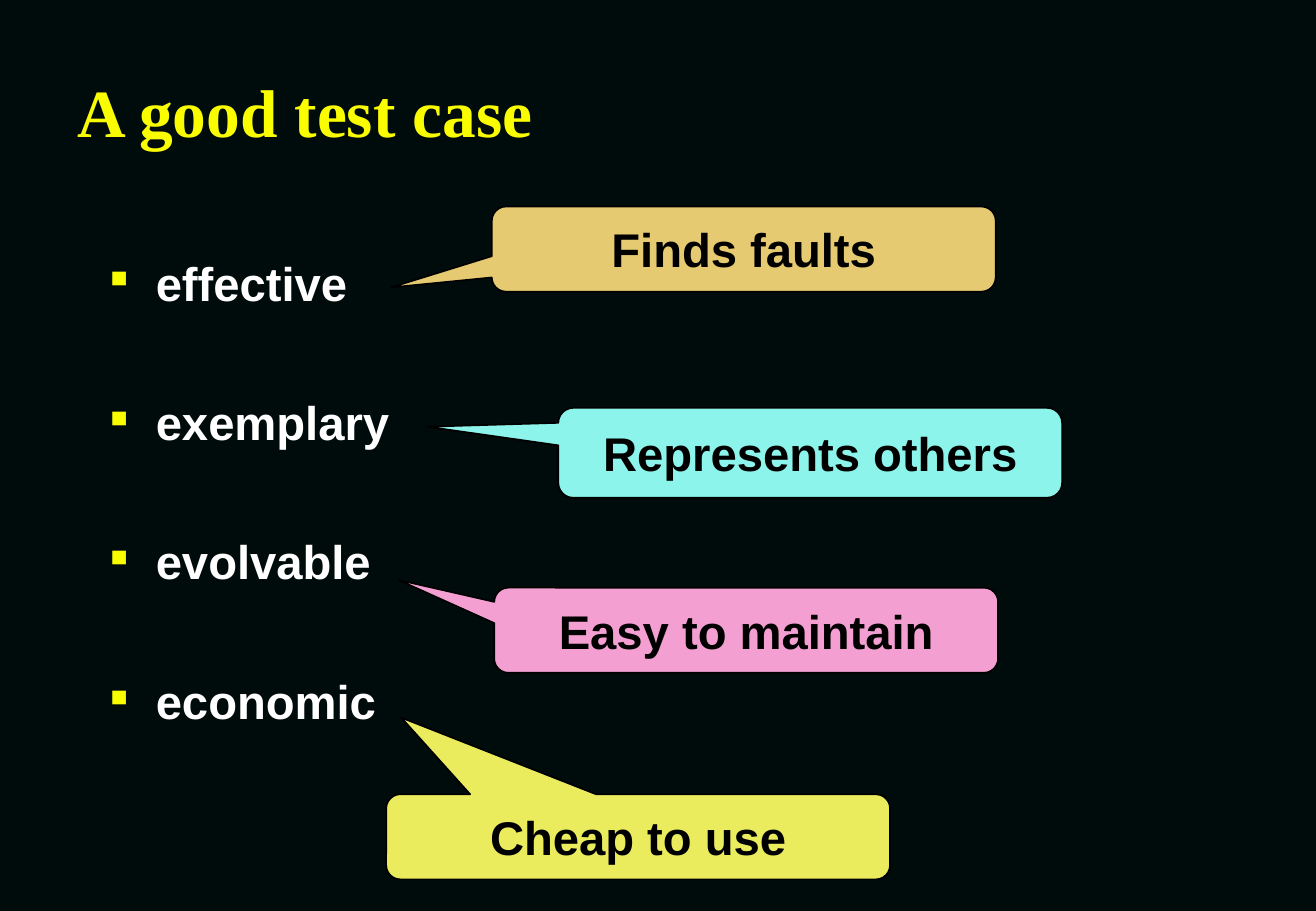
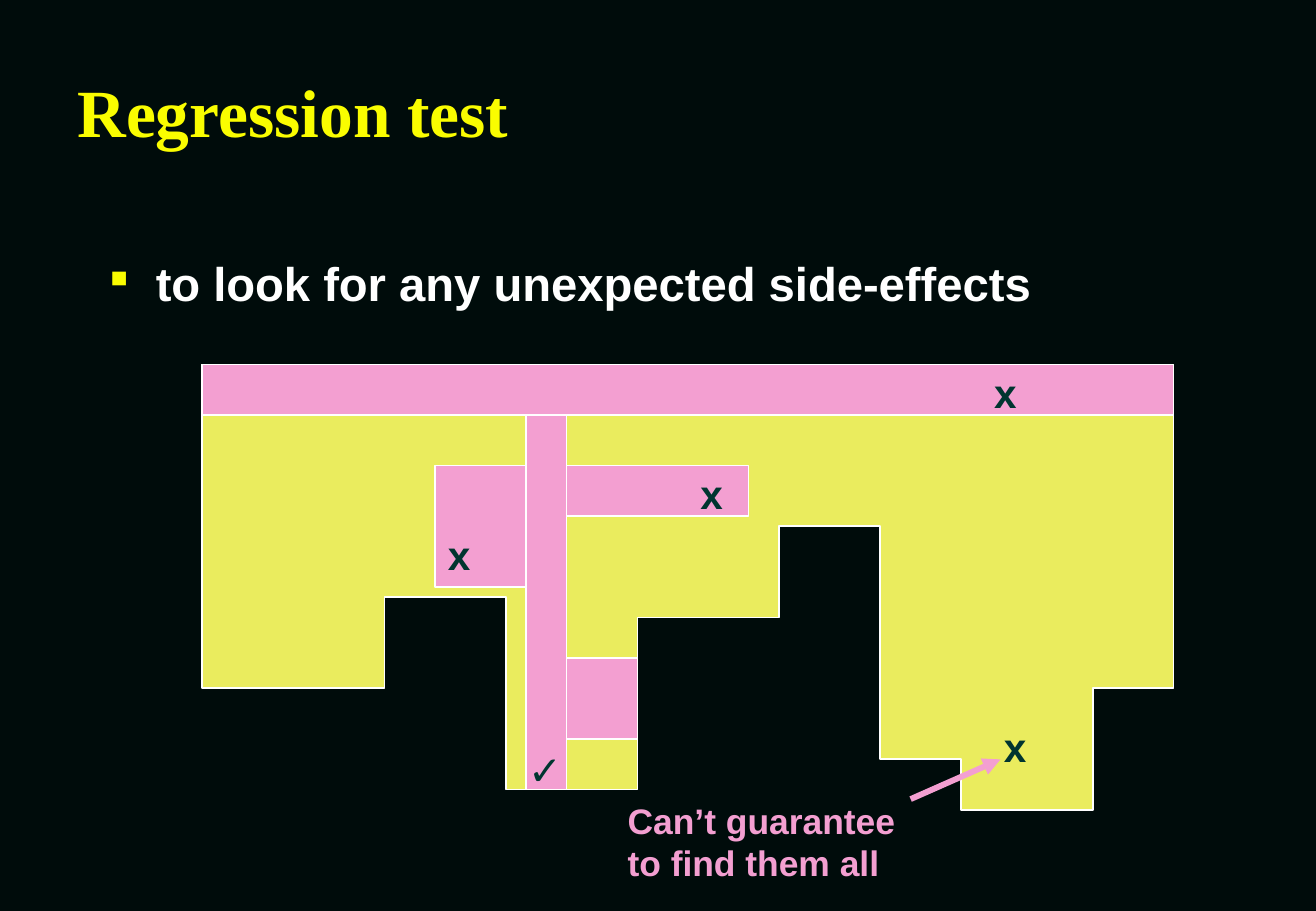
"""Build two dark slides on good test cases and regression testing."""
from lxml.etree import SubElement
from pptx import Presentation
from pptx.dml.color import RGBColor
from pptx.enum.shapes import MSO_CONNECTOR, MSO_SHAPE
from pptx.enum.text import MSO_ANCHOR, MSO_AUTO_SIZE, PP_ALIGN
from pptx.oxml.ns import qn
from pptx.util import Cm, Pt

COLORS = {
    "background": "000C0B", "title": "FAFD00", "body": "FFFFFF", "black": "000000",
    "sand": "E5CA72", "aqua": "8CF4EA", "pink": "F39FD1", "lime": "EAEC5E",
    "mark": "003530",
}
FORMATS = {
    "title": {"name": "Times New Roman", "size": Pt(40), "bold": True},
    "body": {"name": "Arial", "size": Pt(28), "bold": True},
    "mark": {"name": "Arial", "size": Pt(24), "bold": True},
    "caption": {"name": "Arial", "size": Pt(21), "bold": True},
}
TITLE_BOX = (1.37, 1.47, 23.39, 1.7)
BODY_BOX = (2.06, 5.18, 23.39, 11.86)
BULLET_GAP = Pt(49)
INSETS = (0.25, 0.13, 0.25, 0.13)
NO_INSETS = (0, 0, 0, 0)

QUALITIES = ["effective", "exemplary", "evolvable", "economic"]
CALLOUT_WIDTH = 10.54
CALLOUTS = [
    ("Finds faults", "sand", 10.29, 4.32, 1.78, (-0.7, 0.45)),
    ("Represents others", "aqua", 11.68, 8.53, 1.88, (-0.76, -0.29)),
    ("Easy to maintain", "pink", 10.34, 12.29, 1.78, (-0.69, -0.59)),
    ("Cheap to use", "lime", 8.08, 16.61, 1.78, (-0.47, -1.4)),
]

PURPOSE = ["to look for any unexpected side-effects"]
GRID = 2.54 / 12
SYSTEM_OUTLINE = [
    (20, 36), (116, 36), (116, 68), (108, 68), (108, 80), (95, 80),
    (95, 75), (87, 75), (87, 52), (77, 52), (77, 61), (63, 61),
    (63, 78), (50, 78), (50, 59), (38, 59), (38, 68), (20, 68),
]
TESTED_PARTS = [
    (20, 36, 96, 5), (52, 41, 4, 37), (43, 46, 9, 12),
    (56, 46, 18, 5), (56, 65, 7, 8),
]
MARKS = [
    ("x", 14.4, 9.68, 0.97), ("x", 20.55, 7.57, 0.97), ("x", 9.12, 10.95, 0.97),
    ("x", 20.75, 14.96, 0.97), ("✓", 10.8, 15.44, 1.17),
]
MARK_HEIGHT = 1.27
CAPTION = ["Can’t guarantee", "to find them all"]
CAPTION_BOX = (13.13, 16.71, 5.61, 1.78)
ARROW = (19.05, 16.71, 20.93, 15.88)


def rgb(color):
    return RGBColor.from_string(COLORS[color])


def write(shape, lines, style, color, align=PP_ALIGN.LEFT,
          anchor=MSO_ANCHOR.TOP, wrap=True, insets=INSETS):
    frame = shape.text_frame
    settings = {"auto_size": MSO_AUTO_SIZE.NONE, "word_wrap": wrap,
                "vertical_anchor": anchor}
    sides = ("margin_left", "margin_top", "margin_right", "margin_bottom")
    settings.update(zip(sides, map(Cm, insets)))
    for name, value in settings.items():
        setattr(frame, name, value)
    for index, line in enumerate(lines):
        para = frame.add_paragraph() if index else frame.paragraphs[0]
        para.alignment = align
        span = para.add_run()
        span.text = line
        for name, value in FORMATS[style].items():
            setattr(span.font, name, value)
        span.font.color.rgb = rgb(color)
    return frame.paragraphs


def add_text(page, place, lines, style, color, **options):
    box = page.shapes.add_textbox(*map(Cm, place))
    return write(box, lines, style, color, **options)


def add_bullets(page, lines):
    for index, para in enumerate(add_text(page, BODY_BOX, lines, "body", "body")):
        para.space_before = BULLET_GAP if index else Pt(0)
        properties = para._p.get_or_add_pPr()
        properties.set("marL", str(Cm(0.95)))
        properties.set("indent", str(-Cm(0.95)))
        bullet_color = SubElement(properties, qn("a:buClr"))
        SubElement(bullet_color, qn("a:srgbClr"), val=COLORS["title"])
        SubElement(properties, qn("a:buSzPct"), val="50000")
        SubElement(properties, qn("a:buChar"), char="■")


def add_page(deck, title, bullets):
    page = deck.slides.add_slide(deck.slide_layouts[5])
    heading = page.shapes.title
    for name, value in zip(("left", "top", "width", "height"), TITLE_BOX):
        setattr(heading, name, Cm(value))
    write(heading, [title], "title", "title", anchor=MSO_ANCHOR.MIDDLE)
    add_bullets(page, bullets)
    return page


def paint(shape, fill, line):
    shape.shadow.inherit = False
    shape.fill.solid()
    shape.fill.fore_color.rgb = rgb(fill)
    shape.line.color.rgb = rgb(line)
    shape.line.width = Pt(1)


def add_callouts(page):
    for label, color, left, top, height, tip in CALLOUTS:
        place = map(Cm, (left, top, CALLOUT_WIDTH, height))
        callout = page.shapes.add_shape(MSO_SHAPE.ROUNDED_RECTANGULAR_CALLOUT, *place)
        callout.adjustments[0], callout.adjustments[1] = tip
        paint(callout, color, "black")
        write(callout, [label], "body", "black", PP_ALIGN.CENTER,
              MSO_ANCHOR.MIDDLE, wrap=False)


def add_system(page):
    builder = page.shapes.build_freeform(*SYSTEM_OUTLINE[0], scale=Cm(GRID))
    builder.add_line_segments(SYSTEM_OUTLINE[1:], close=True)
    paint(builder.convert_to_shape(), "lime", "body")
    for part in TESTED_PARTS:
        place = [Cm(GRID * units) for units in part]
        paint(page.shapes.add_shape(MSO_SHAPE.RECTANGLE, *place), "pink", "body")
    for symbol, left, top, width in MARKS:
        add_text(page, (left, top, width, MARK_HEIGHT), [symbol], "mark", "mark",
                 wrap=False)


def add_warning(page):
    add_text(page, CAPTION_BOX, CAPTION, "caption", "pink", wrap=False,
             insets=NO_INSETS)
    arrow = page.shapes.add_connector(MSO_CONNECTOR.STRAIGHT, *map(Cm, ARROW))
    arrow.line.color.rgb = rgb("pink")
    arrow.line.width = Pt(3.5)
    SubElement(arrow.line._get_or_add_ln(), qn("a:tailEnd"), type="triangle")
    SubElement(arrow._element.spPr, qn("a:effectLst"))


def main():
    deck = Presentation()
    deck.slide_width, deck.slide_height = Cm(27.53), Cm(19.05)
    background = deck.slide_master.background.fill
    background.solid()
    background.fore_color.rgb = rgb("background")
    add_callouts(add_page(deck, "A good test case", QUALITIES))
    page = add_page(deck, "Regression test", PURPOSE)
    add_system(page)
    add_warning(page)
    deck.save("out.pptx")


if __name__ == "__main__":
    main()
